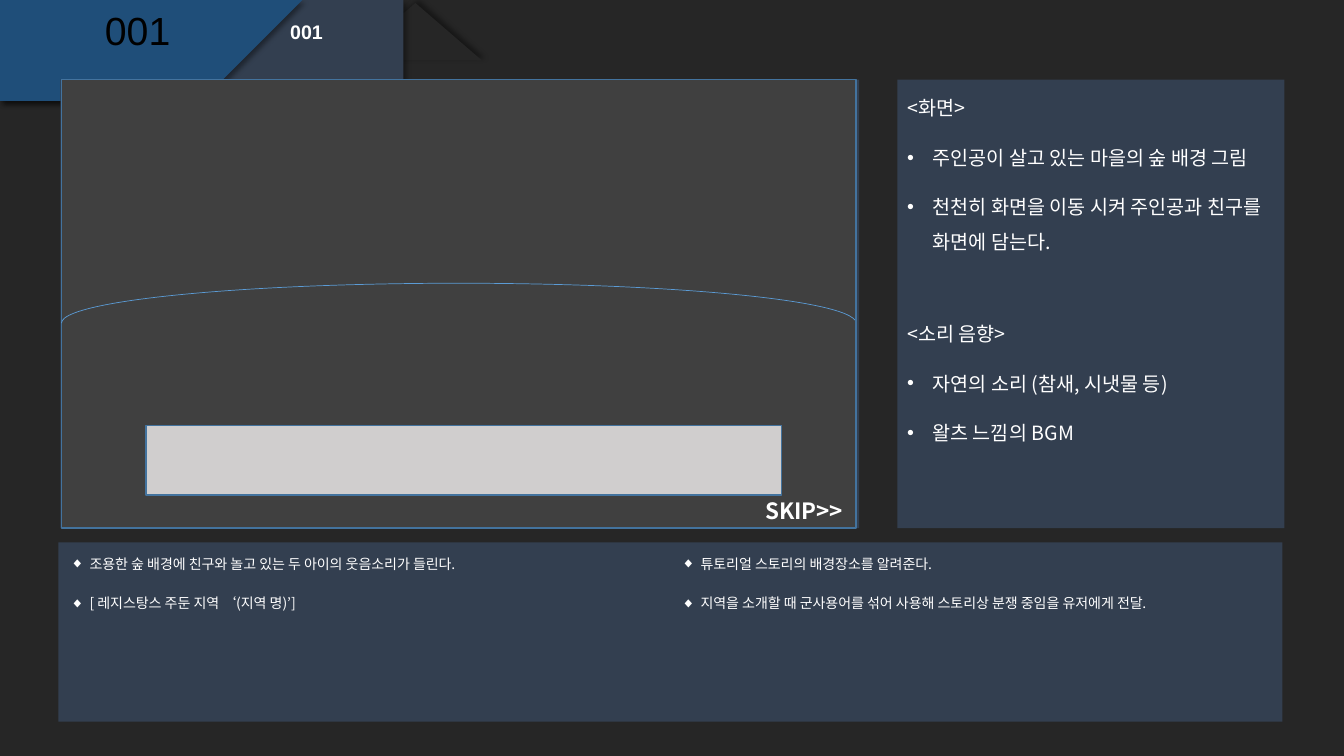
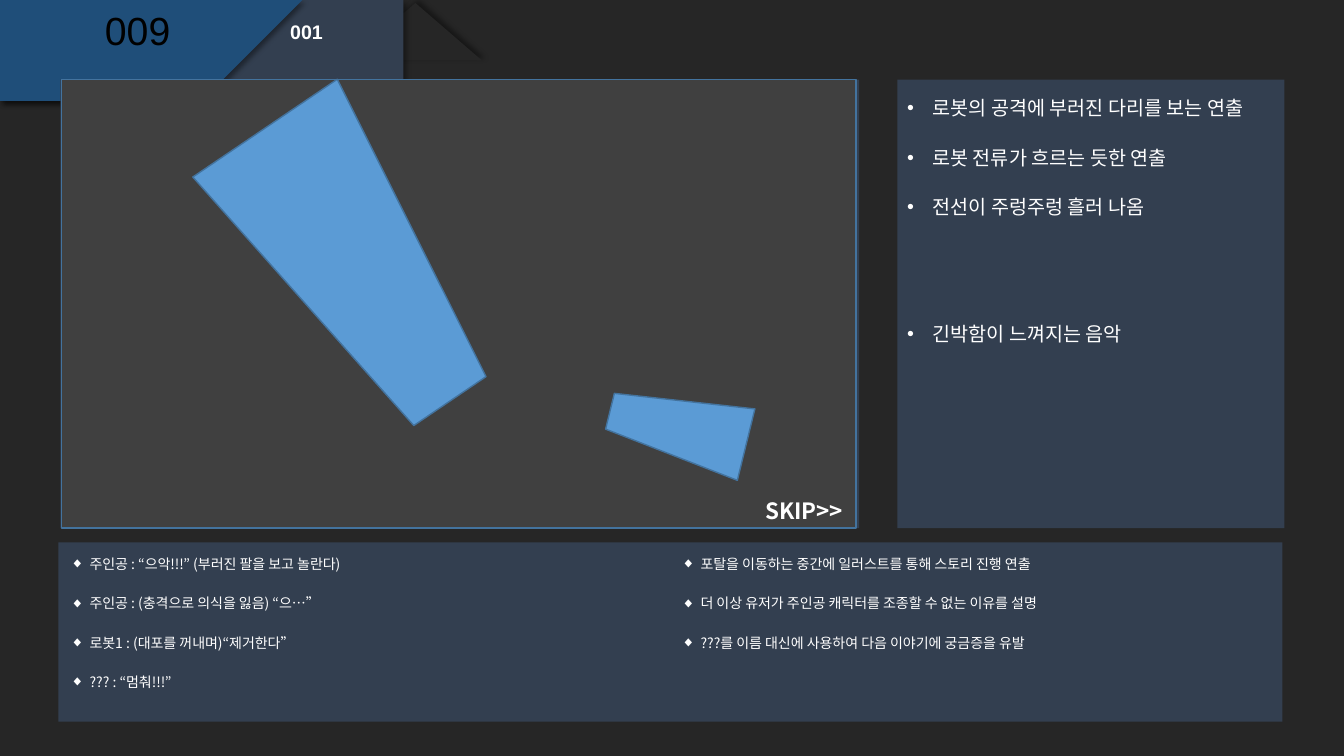
from lxml import etree
from pptx import Presentation
from pptx.dml.color import RGBColor
from pptx.enum import shapes as sh, text as tx
from pptx.oxml.ns import qn
from pptx.util import Inches, Pt

BACK = RGBColor(0x26, 0x26, 0x26)
NAVY = RGBColor(0x33, 0x3F, 0x50)
DEEP = RGBColor(0x1F, 0x4E, 0x79)
GREY = RGBColor(0x40, 0x40, 0x40)
PALE = RGBColor(0xD0, 0xCE, 0xCE)
BLUE = RGBColor(0x5B, 0x9B, 0xD5)
EDGE = RGBColor(0x43, 0x73, 0x9E)
WHITE = RGBColor(0xFF, 0xFF, 0xFF)
BLACK = RGBColor(0, 0, 0)
LATIN, KOREAN = "Arial", "Noto Sans CJK KR"
KIND = sh.MSO_SHAPE

# Text boxes: (left, top, width, height), size, bullet, indent
BOXES = {
    "scene": ((8.9, 0.79, 3.84, 2.21), 14, "•", 0.25),
    "sound": ((8.9, 3.03, 3.84, 2.21), 14, "•", 0.25),
    "story": ((0.6, 5.38, 6.06, 1.78), 10, "◆", 0.19),
    "intent": ((6.66, 5.38, 6.06, 1.78), 10, "◆", 0.19),
}
PANELS = [(0.6, 0.79, 7.92, 4.45), (8.9, 0.79, 3.84, 4.45),
          (0.58, 5.38, 12.14, 1.78)]
TABS = [
    (NAVY, [(0.05, 0), (4.12, 0), (3.64, 0.57), (0.9, 0.56), (0.05, 0.56)]),
    (DEEP, [(0, 0), (2.73, 0), (2.41, 0.57), (0.57, 0.56), (0, 0.56)]),
]
STAGE = (0.61, 0.79, 7.88, 4.45)

# Lines that start with "<" are headings without a bullet
CUTS = [
    {
        "number": "001",
        "scene": ["<화면>",
                  "주인공이 살고 있는 마을의 숲 배경 그림",
                  "천천히 화면을 이동 시켜 주인공과 친구를 화면에 담는다."],
        "sound": ["<소리 음향>",
                  "자연의 소리 (참새, 시냇물 등)",
                  "왈츠 느낌의 BGM"],
        "story": ["조용한 숲 배경에 친구와 놀고 있는 두 아이의 웃음소리가 들린다.",
                  "[ 레지스탕스 주둔 지역 ‘(지역 명)’]"],
        "intent": ["튜토리얼 스토리의 배경장소를 알려준다.",
                   "지역을 소개할 때 군사용어를 섞어 사용해 스토리상 분쟁 중임을 "
                   "유저에게 전달."],
    },
    {
        "number": "009",
        "scene": ["로봇의 공격에 부러진 다리를 보는 연출",
                  "로봇 전류가 흐르는 듯한 연출",
                  "전선이 주렁주렁 흘러 나옴"],
        "sound": ["긴박함이 느껴지는 음악"],
        "story": ["주인공 : “으악!!!” (부러진 팔을 보고 놀란다)",
                  "주인공 : (충격으로 의식을 잃음) “으…”",
                  "로봇1 : (대포를 꺼내며)“제거한다”",
                  "??? : “멈춰!!!”"],
        "intent": ["포탈을 이동하는 중간에 일러스트를 통해 스토리 진행 연출",
                   "더 이상 유저가 주인공 캐릭터를 조종할 수 없는 이유를 설명",
                   "???를 이름 대신에 사용하여 다음 이야기에 궁금증을 유발"],
    },
]


def paint(shape, fill=None, line=None, width=1):
    shape.shadow.inherit = False
    if fill is None:
        shape.fill.background()
    else:
        shape.fill.solid()
        shape.fill.fore_color.rgb = fill
    if line is None:
        shape.line.fill.background()
    else:
        shape.line.color.rgb = line
        shape.line.width = Pt(width)
    return shape


def draw(slide, kind, box, **look):
    shape = slide.shapes.add_shape(kind, *map(Inches, box))
    return paint(shape, **look)


def shade(shape, angle):
    """Add a soft black outer shadow; angle in degrees."""
    effects = shape._element.spPr.find(qn("a:effectLst"))
    outer = etree.SubElement(effects, qn("a:outerShdw"), blurRad=str(Pt(4)),
                             dist=str(Pt(3)), dir=str(angle * 60000),
                             algn="ctr", rotWithShape="0")
    black = etree.SubElement(outer, qn("a:srgbClr"), val="000000")
    etree.SubElement(black, qn("a:alpha"), val="40000")


def style(para, size, face, color=WHITE, bold=False):
    font = para.font
    font.size, font.name, font.bold = Pt(size), face, bold
    font.color.rgb = color
    props = para._p.pPr.find(qn("a:defRPr"))
    etree.SubElement(props, qn("a:ea"), typeface=face)


def bullet(para, mark, indent):
    props = para._p.get_or_add_pPr()
    props.set("marL", str(Inches(indent)))
    props.set("indent", str(-Inches(indent)))
    etree.SubElement(props, qn("a:buFont"), typeface=LATIN)
    etree.SubElement(props, qn("a:buChar"), char=mark)


def label(slide, box, words, size, face, **look):
    """Add a one-line text box; return its frame."""
    frame = slide.shapes.add_textbox(*map(Inches, box)).text_frame
    frame.word_wrap = True
    para = frame.paragraphs[0]
    para.text = words
    style(para, size, face, **look)
    return frame


def notes(slide, lines, box, size, mark, indent):
    """Add a text box with headings and bulleted lines."""
    frame = slide.shapes.add_textbox(*map(Inches, box)).text_frame
    frame.word_wrap = True
    for i, line in enumerate(lines):
        para = frame.add_paragraph() if i else frame.paragraphs[0]
        para.text = line
        para.line_spacing = 1.5
        if i:
            para.space_before = Pt(10)
        if not line.startswith("<"):
            bullet(para, mark, indent)
        style(para, size, KOREAN)


def header(slide, number):
    peak = draw(slide, KIND.ISOSCELES_TRIANGLE, (3.46, 0.03, 1.32, 0.57),
                fill=BACK)
    shade(peak, 315)
    for color, points in TABS:
        path = slide.shapes.build_freeform(*points[0], scale=Inches(1))
        path.add_line_segments(points[1:], close=True)
        shade(paint(path.convert_to_shape(), color), 45)
    label(slide, (2.78, 0.15, 1, 0.32), "001", 14, LATIN, bold=True)
    frame = label(slide, (0.61, 0.06, 1.51, 0.53), number, 28, LATIN,
                  color=BLACK)
    frame.vertical_anchor = tx.MSO_ANCHOR.MIDDLE
    frame.paragraphs[0].alignment = tx.PP_ALIGN.CENTER
    frame.paragraphs[0].line_spacing = 0.9


def frame_cut(slide, cut):
    """Draw all that every storyboard slide shares."""
    header(slide, cut["number"])
    for box in PANELS:
        draw(slide, KIND.RECTANGLE, box, fill=NAVY)
    for name, spec in BOXES.items():
        notes(slide, cut[name], *spec)
    draw(slide, KIND.RECTANGLE, STAGE, fill=GREY, line=EDGE)
    skip = label(slide, (7.49, 4.88, 1, 0.37), "SKIP>>", 16, KOREAN, bold=True)
    skip.word_wrap = False


def forest(slide):
    hill = draw(slide, KIND.ARC, (0.61, 2.81, 7.88, 0.79), line=BLUE, width=0.5)
    hill.adjustments[0], hill.adjustments[1] = 107.99, 215.75
    draw(slide, KIND.RECTANGLE, (1.45, 4.22, 6.3, 0.69), fill=PALE, line=EDGE)


def limbs(slide):
    for box, turn in [((2.68, 0.99, 1.73, 3.27), 145.9),
                      ((6.36, 3.55, 0.73, 1.39), 283.8)]:
        limb = draw(slide, KIND.TRAPEZOID, box, fill=BLUE, line=EDGE)
        limb.rotation = turn


def main():
    deck = Presentation()
    deck.slide_width, deck.slide_height = Inches(13.33), Inches(7.5)
    back = deck.slide_master.background.fill
    back.solid()
    back.fore_color.rgb = BACK
    for cut, sketch in zip(CUTS, (forest, limbs)):
        slide = deck.slides.add_slide(deck.slide_layouts[6])
        frame_cut(slide, cut)
        sketch(slide)
    deck.save("out.pptx")


if __name__ == "__main__":
    main()
